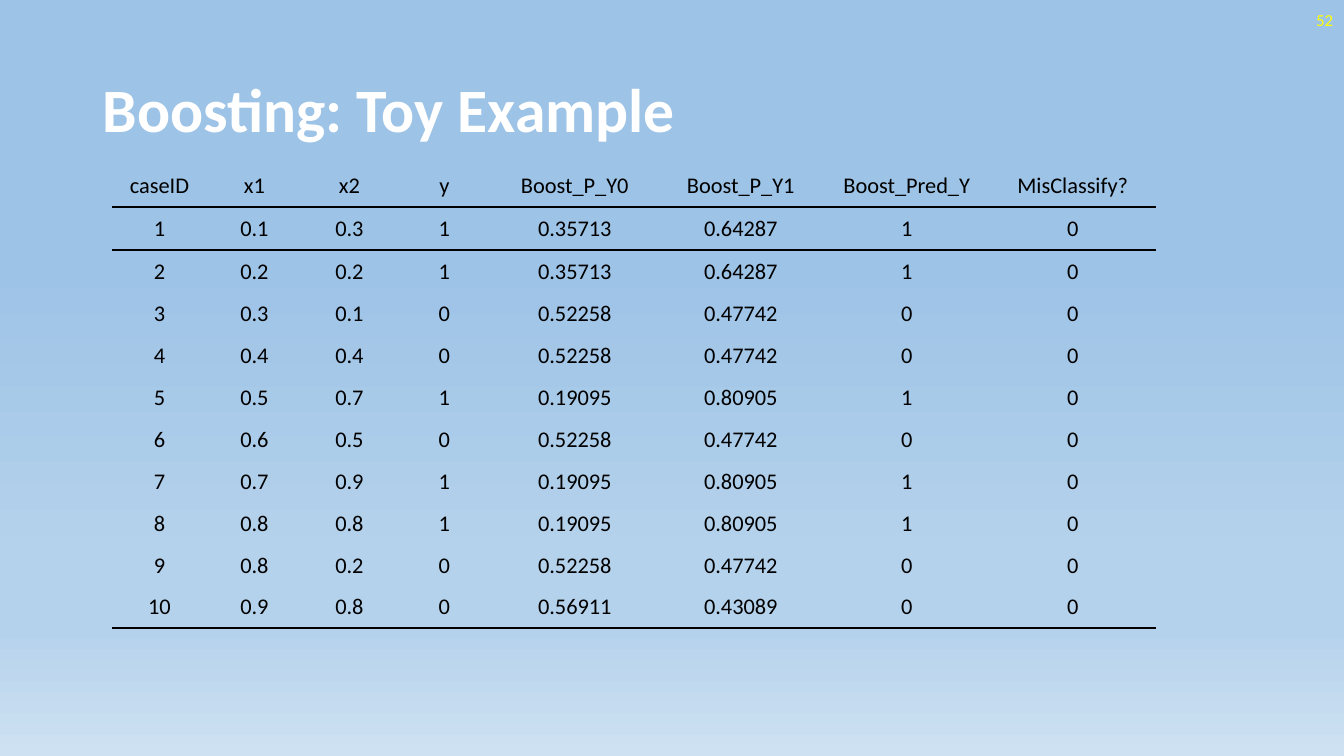
from lxml import etree
from pptx import Presentation
from pptx.dml.color import RGBColor
from pptx.enum.text import MSO_ANCHOR, PP_ALIGN
from pptx.oxml.ns import qn
from pptx.util import Emu, Pt

MIDDLE = MSO_ANCHOR.MIDDLE
LEFT, CENTER, RIGHT = PP_ALIGN.LEFT, PP_ALIGN.CENTER, PP_ALIGN.RIGHT

EMU_PER_INCH = 914400
PX_PER_INCH = 100.8
FONT = "Calibri"
BLACK, WHITE, YELLOW = "000000", "FFFFFF", "FFFF00"
NO_STYLE_NO_GRID = "{2D5ABB26-0587-4C30-8999-92F81FD0307C}"

SKY_STOPS = [(35, "9DC3E6"), (74, "B5D2EC"), (83, "B5D2EC"), (100, "CEE1F2")]
COLUMN_WIDTHS = [95] * 4 + [166] * 4
ROW_HEIGHTS = [44, 43] + [42] * 9
RESULTS = [
    ["caseID", "x1", "x2", "y", "Boost_P_Y0", "Boost_P_Y1", "Boost_Pred_Y", "MisClassify?"],
    ["1", "0.1", "0.3", "1", "0.35713", "0.64287", "1", "0"],
    ["2", "0.2", "0.2", "1", "0.35713", "0.64287", "1", "0"],
    ["3", "0.3", "0.1", "0", "0.52258", "0.47742", "0", "0"],
    ["4", "0.4", "0.4", "0", "0.52258", "0.47742", "0", "0"],
    ["5", "0.5", "0.7", "1", "0.19095", "0.80905", "1", "0"],
    ["6", "0.6", "0.5", "0", "0.52258", "0.47742", "0", "0"],
    ["7", "0.7", "0.9", "1", "0.19095", "0.80905", "1", "0"],
    ["8", "0.8", "0.8", "1", "0.19095", "0.80905", "1", "0"],
    ["9", "0.8", "0.2", "0", "0.52258", "0.47742", "0", "0"],
    ["10", "0.9", "0.8", "0", "0.56911", "0.43089", "0", "0"],
]
RULED_EDGES = {0: "a:lnB", 1: "a:lnT", len(RESULTS) - 1: "a:lnB"}


def px(length):
    return Emu(round(length * EMU_PER_INCH / PX_PER_INCH))


def color(hex_string):
    return RGBColor.from_string(hex_string)


def paint_background(page, stops):
    fill = page.background.fill
    fill.gradient()
    fill.gradient_angle = 270
    stop_list = next(page.element.iter(qn("a:gsLst")))
    for stop in list(stop_list):
        stop_list.remove(stop)
    for percent, shade in stops:
        stop = etree.SubElement(stop_list, qn("a:gs"), pos=str(percent * 1000))
        etree.SubElement(stop, qn("a:srgbClr"), val=shade)


def style_paragraph(para, size, shade, align, bold=False):
    para.alignment = align
    para.font.name = FONT
    para.font.size = Pt(size)
    para.font.bold = bold
    para.font.color.rgb = color(shade)


def add_text(page, text, left, top, width, height, size, shade, align=LEFT, bold=False):
    box = page.shapes.add_textbox(px(left), px(top), px(width), px(height))
    frame = box.text_frame
    frame.word_wrap = True
    frame.vertical_anchor = MIDDLE
    frame.text = text
    style_paragraph(frame.paragraphs[0], size, shade, align, bold)
    return frame.paragraphs[0]


def rule_cell(cell, edge, points, shade):
    properties = next(cell._tc.iter(qn("a:tcPr")))
    line = etree.Element(qn(edge), w=str(Pt(points)))
    solid = etree.SubElement(line, qn("a:solidFill"))
    etree.SubElement(solid, qn("a:srgbClr"), val=shade)
    properties.insert(0, line)


def fill_cell(cell, text):
    cell.text = text
    cell.fill.background()
    cell.vertical_anchor = MIDDLE
    cell.margin_left = cell.margin_top = cell.margin_right = px(1)
    cell.margin_bottom = px(0)
    style_paragraph(cell.text_frame.paragraphs[0], 16, BLACK, CENTER)


def add_results_table(page, left, top):
    frame = page.shapes.add_table(
        len(RESULTS), len(COLUMN_WIDTHS),
        px(left), px(top), px(sum(COLUMN_WIDTHS)), px(sum(ROW_HEIGHTS)),
    )
    table = frame.table
    table.first_row = table.horz_banding = False
    next(frame.element.iter(qn("a:tableStyleId"))).text = NO_STYLE_NO_GRID
    for column, width in zip(table.columns, COLUMN_WIDTHS):
        column.width = px(width)
    for index, (row, height, values) in enumerate(zip(table.rows, ROW_HEIGHTS, RESULTS)):
        row.height = px(height)
        for cell, value in zip(row.cells, values):
            fill_cell(cell, value)
            if index in RULED_EDGES:
                rule_cell(cell, RULED_EDGES[index], 2, BLACK)


def main():
    deck = Presentation()
    deck.slide_width, deck.slide_height = px(1344), px(756)
    page = deck.slides.add_slide(deck.slide_layouts[6])
    paint_background(page, SKY_STOPS)
    title = add_text(page, "Boosting: Toy Example", 93, 40, 1159, 146, 44, WHITE, bold=True)
    title.line_spacing = 0.9
    add_text(page, "52", 1041, 0, 302, 40, 12, YELLOW, RIGHT)
    add_results_table(page, 112, 163)
    deck.save("out.pptx")


if __name__ == "__main__":
    main()
